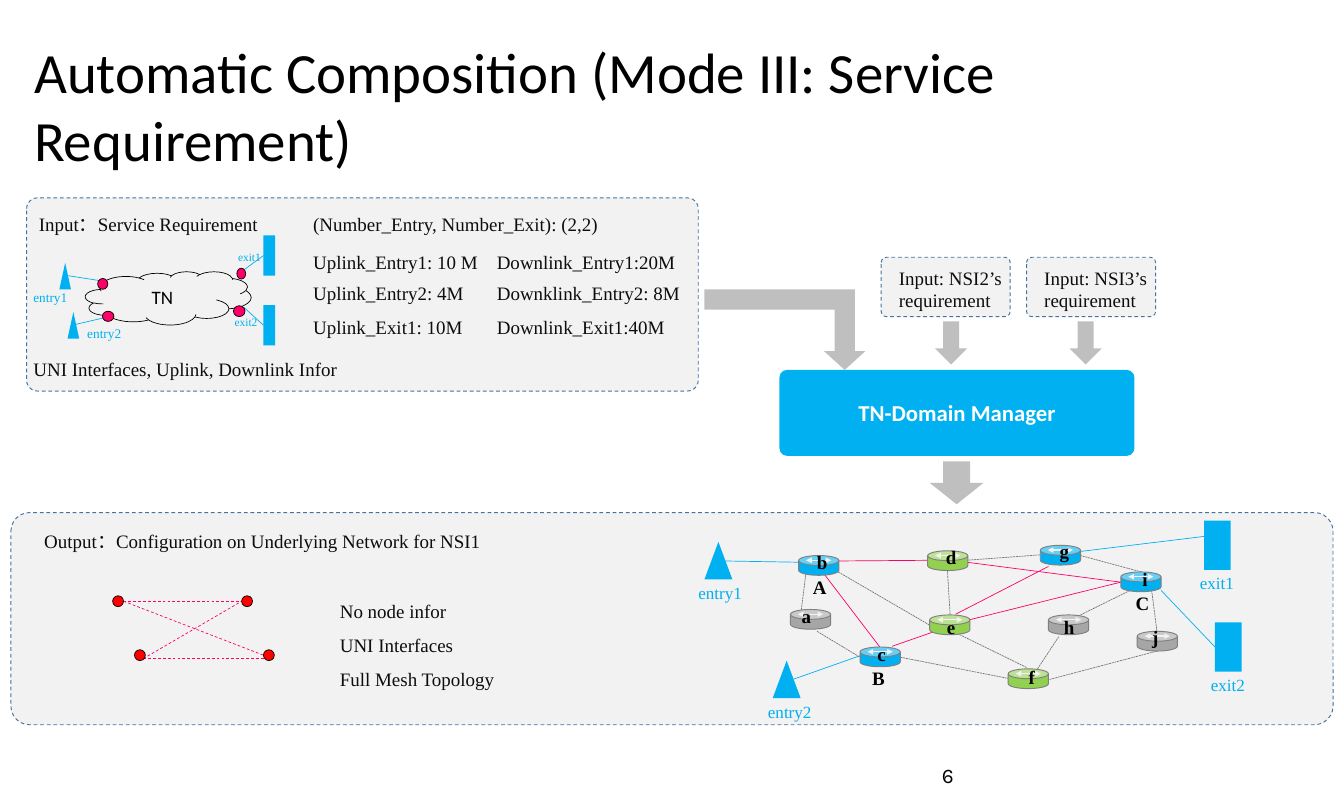
import pptx
import pptx.util
import pptx.dml.color
import pptx.enum.dml
import pptx.enum.shapes
import pptx.enum.text
import pptx.oxml
import pptx.oxml.ns

Inches = pptx.util.Inches
Pt = pptx.util.Pt
RGB = pptx.dml.color.RGBColor.from_string
SHAPE = pptx.enum.shapes.MSO_SHAPE
DASH = pptx.enum.dml.MSO_LINE.DASH
SHORT_DASH = pptx.enum.dml.MSO_LINE.SQUARE_DOT
LEFT = pptx.enum.text.PP_ALIGN.LEFT
CENTER = pptx.enum.text.PP_ALIGN.CENTER
MIDDLE = pptx.enum.text.MSO_ANCHOR.MIDDLE
qn = pptx.oxml.ns.qn

COLORS = {
    "black": "000000", "ink": "0D0D0D", "white": "FFFFFF", "panel": "F2F2F2",
    "border": "43739E", "blue": "00B0F0", "green": "92D050", "gray": "A6A6A6",
    "rim": "808080", "arrow": "BFBFBF", "link": "777777", "pink": "FF0066", "red": "FF0000",
}
SERIF = "Times New Roman"

presentation = pptx.Presentation()
presentation.slide_width = Inches(19.69)
presentation.slide_height = Inches(11.81)
slide = presentation.slides.add_slide(presentation.slide_layouts[6])


def draw_shape(kind, box, fill=None, border=None, width=0.75, dash=None, adjustments=()):
    shape = slide.shapes.add_shape(kind, *[Inches(value) for value in box])
    shape.shadow.inherit = False
    if fill:
        shape.fill.solid()
        shape.fill.fore_color.rgb = RGB(COLORS[fill])
    else:
        shape.fill.background()
    if border:
        shape.line.color.rgb = RGB(COLORS[border])
        shape.line.width = Pt(width)
        shape.line.dash_style = dash
    else:
        shape.line.fill.background()
    for index, value in enumerate(adjustments):
        shape.adjustments[index] = value
    return shape


def draw_line(points, color, dash=None, width=0.75, arrows=False, target=None):
    line = slide.shapes.add_connector(
        pptx.enum.shapes.MSO_CONNECTOR.STRAIGHT, *[Inches(value) for value in points])
    line.line.color.rgb = RGB(COLORS[color])
    line.line.width = Pt(width)
    line.line.dash_style = dash
    if target is not None:
        line.end_connect(target, 1)
    if arrows:
        outline = line.line._get_or_add_ln()
        for end in ("a:headEnd", "a:tailEnd"):
            pptx.oxml.ns.qn(end)
            outline.append(outline.makeelement(qn(end), {"type": "triangle"}))
    properties = line._element.spPr
    properties.append(properties.makeelement(qn("a:effectLst"), {}))


panels = [
    ((0.16, 7.51, 19.37, 3.11), 0.088),
    ((0.39, 2.9, 9.84, 2.83), 0.056),
    ((12.91, 3.77, 1.89, 0.87), 0.088),
    ((15.04, 3.77, 1.89, 0.87), 0.088),
]
for box, corner in panels:
    draw_shape(SHAPE.ROUNDED_RECTANGLE, box, "panel", "border", 1, DASH, [corner])

manager = draw_shape(SHAPE.ROUNDED_RECTANGLE, (11.42, 5.42, 5.2, 1.26), "blue", adjustments=[0.088])
bent_arrow = draw_shape(SHAPE.BENT_UP_ARROW, (10.32, 4.24, 2.36, 1.18), "arrow",
                        adjustments=[0.25, 0.258, 0.234])
bent_arrow._element.spPr.find(qn("a:xfrm")).set("flipV", "1")
for box in [(13.62, 6.76, 0.79, 0.63), (13.7, 4.71, 0.47, 0.63), (15.67, 4.71, 0.47, 0.63)]:
    draw_shape(SHAPE.DOWN_ARROW, box, "arrow")

cloud = draw_shape(SHAPE.CLOUD, (1.25, 3.98, 2.43, 0.78), None, "black")

exits = [
    ((3.86, 3.45, 0.17, 0.59), (3.58, 3.95, 3.86, 3.75), True),
    ((3.86, 4.47, 0.17, 0.59), (3.57, 4.5, 3.86, 4.76), True),
    ((17.64, 7.63, 0.39, 0.72), (15.83, 8.08, 17.64, 7.86), False),
    ((17.8, 9.12, 0.39, 0.72), (17.01, 8.65, 17.8, 9.48), True),
]
for box, uplink, at_middle in exits:
    exit_box = draw_shape(SHAPE.RECTANGLE, box, "blue")
    draw_line(uplink, "blue", target=exit_box if at_middle else None)

entries = [
    ((0.87, 3.85, 0.17, 0.39), (1, 4.04, 1.45, 4.11)),
    ((0.99, 4.57, 0.17, 0.39), (1.08, 4.76, 1.51, 4.66)),
    ((10.32, 7.94, 0.41, 0.55), (10.62, 8.22, 11.8, 8.24)),
    ((11.32, 9.68, 0.41, 0.55), (11.63, 9.95, 12.68, 9.58)),
]
for box, uplink in entries:
    draw_line(uplink, "blue")
    draw_shape(SHAPE.ISOSCELES_TRIANGLE, box, "blue")

mesh_links = [(1.81, 8.81, 3.86, 9.6), (1.81, 8.81, 3.54, 8.81),
              (2.1, 9.65, 3.54, 8.81), (2.1, 9.65, 3.88, 9.65)]
chosen_links = [
    (12.05, 8.38, 12.89, 9.48), (14.17, 9.09, 16.42, 8.53), (12.28, 8.22, 13.59, 8.21),
    (15.36, 8.3, 14, 9), (13.7, 9.25, 13.07, 9.47), (14.1, 8.23, 16.42, 8.53),
]
spare_links = [
    (12.28, 8.38, 13.62, 9.16), (13.19, 9.63, 14.77, 9.94), (15.2, 9.8, 15.51, 9.33),
    (15.83, 9.01, 16.62, 8.62), (11.81, 8.38, 11.73, 9.01), (11.97, 9.25, 12.6, 9.63),
    (13.88, 8.36, 13.92, 9.01), (15.24, 8.13, 14.15, 8.21), (16.72, 8.38, 15.83, 8.14),
    (16.95, 9.54, 15.36, 9.96), (16.95, 9.25, 16.85, 8.48), (15.04, 9.78, 14.02, 9.28),
]
for links, color, dash in [(mesh_links, "pink", DASH), (chosen_links, "pink", None),
                           (spare_links, "link", SHORT_DASH)]:
    for points in links:
        draw_line(points, color, dash)

mesh_dots = [(1.65, 8.73, 0.16, 0.16), (1.97, 9.52, 0.16, 0.16),
             (3.54, 8.73, 0.16, 0.16), (3.86, 9.52, 0.16, 0.16)]
cloud_dots = [(1.43, 4.08, 0.15, 0.16), (1.5, 4.56, 0.17, 0.15),
              (3.42, 4.48, 0.17, 0.16), (3.47, 3.93, 0.13, 0.16)]
for dots, color in [(mesh_dots, "red"), (cloud_dots, "pink")]:
    for box in dots:
        draw_shape(SHAPE.OVAL, box, color, "black")

labels = [
    ((0.32, 0.55, 19.25, 1.97), "Automatic Composition (Mode III: Service Requirement)", 60, "black", "Calibri", False, LEFT),
    (manager, "TN-Domain Manager", 24, "white", "Calibri", True, CENTER),
    (cloud, "TN", 20, "black", "Calibri", False, CENTER),
    ((13.7, 11.13, 3.84, 0.63), "6", 22, "black", "Karla", False, LEFT),
]

routers = [
    ("a", 11.58, 8.93, "gray", 11.58, 8.81), ("b", 11.7, 8.14, "blue", 11.81, 8.02),
    ("c", 12.6, 9.48, "blue", 12.68, 9.36), ("d", 13.59, 8.07, "green", 13.7, 7.94),
    ("e", 13.62, 9.01, "green", 13.7, 8.97), ("f", 14.77, 9.8, "green", 14.88, 9.71),
    ("g", 15.24, 7.99, "blue", 15.36, 7.86), ("h", 15.36, 9.01, "gray", 15.43, 8.97),
    ("i", 16.42, 8.38, "blue", 16.54, 8.26), ("j", 16.66, 9.25, "gray", 16.69, 9.12),
]
for name, left, top, color, label_left, label_top in routers:
    draw_shape(SHAPE.CAN, (left, top, 0.59, 0.29), color, "rim", 1, adjustments=[0.5])
    draw_line((left + 0.11, top + 0.07, left + 0.48, top + 0.07), "panel", width=1.5, arrows=True)
    labels.append(((label_left, label_top, 0.47, 0.44), name, 20, "black", SERIF, True, CENTER))

for name, left, top in [("A", 11.81, 8.38), ("B", 12.68, 9.72), ("C", 16.54, 8.62)]:
    labels.append(((left, top, 0.47, 0.44), name, 20, "black", SERIF, True, LEFT))

for box, text in [
    ((0.55, 7.71, 7.4, 0.44), "Output：Configuration on Underlying Network for NSI1"),
    ((4.88, 8.57, 4.65, 1.62), "No node infor\nUNI Interfaces\nFull Mesh Topology"),
    ((0.47, 3.06, 5.3, 0.44), "Input：Service Requirement"),
    ((4.49, 3.06, 5.2, 0.44), "(Number_Entry, Number_Exit): (2,2)"),
    ((4.49, 3.62, 5.83, 0.44), "Uplink_Entry1: 10 M\tDownlink_Entry1:20M"),
    ((4.49, 4.08, 5.91, 0.44), "Uplink_Entry2: 4M\tDownklink_Entry2: 8M"),
    ((4.49, 4.57, 6.08, 0.44), "Uplink_Exit1: 10M\tDownlink_Exit1:40M"),
    ((0.39, 5.19, 6.08, 0.44), "UNI Interfaces, Uplink, Downlink Infor"),
    ((13.07, 3.85, 2.05, 0.77), "Input: NSI2’s requirement"),
    ((15.2, 3.85, 2.05, 0.77), "Input: NSI3’s requirement"),
]:
    labels.append((box, text, 20, "ink", SERIF, False, LEFT))

for box, text, size, align in [
    ((0.39, 4.19, 1.3, 0.34), "entry1", 14, LEFT),
    ((1.18, 4.71, 0.87, 0.34), "entry2", 14, LEFT),
    ((3.39, 3.61, 0.87, 0.3), "exit1", 12, LEFT),
    ((3.34, 4.57, 0.87, 0.3), "exit2", 12, LEFT),
    ((10, 8.49, 1.1, 0.4), "entry1", 18, CENTER),
    ((11.02, 10.23, 1.1, 0.4), "entry2", 18, CENTER),
    ((17.48, 8.34, 0.87, 0.4), "exit1", 18, LEFT),
    ((17.64, 9.83, 0.87, 0.4), "exit2", 18, LEFT),
]:
    labels.append((box, text, size, "blue", SERIF, False, align))

for place, text, size, color, font, bold, align in labels:
    shape = place
    if isinstance(place, tuple):
        shape = slide.shapes.add_textbox(*[Inches(value) for value in place])
    text_frame = shape.text_frame
    text_frame.word_wrap = True
    text_frame.text = text
    if size == 60:
        text_frame.margin_left = text_frame.margin_right = Inches(0.18)
    if size == 60 or shape in (manager, cloud):
        text_frame.vertical_anchor = MIDDLE
    for paragraph in text_frame.paragraphs:
        paragraph.alignment = align
        if "\n" in text:
            paragraph.line_spacing = 1.5
        if "\t" in text:
            properties = paragraph._p.get_or_add_pPr()
            tabs = properties.makeelement(qn("a:tabLst"), {})
            tabs.append(tabs.makeelement(qn("a:tab"), {"pos": str(Inches(2.69)), "algn": "l"}))
            properties.append(tabs)
        for run in paragraph.runs:
            run.font.name = font
            run.font.size = Pt(size)
            run.font.bold = bold
            run.font.color.rgb = RGB(COLORS[color])

presentation.save("out.pptx")
